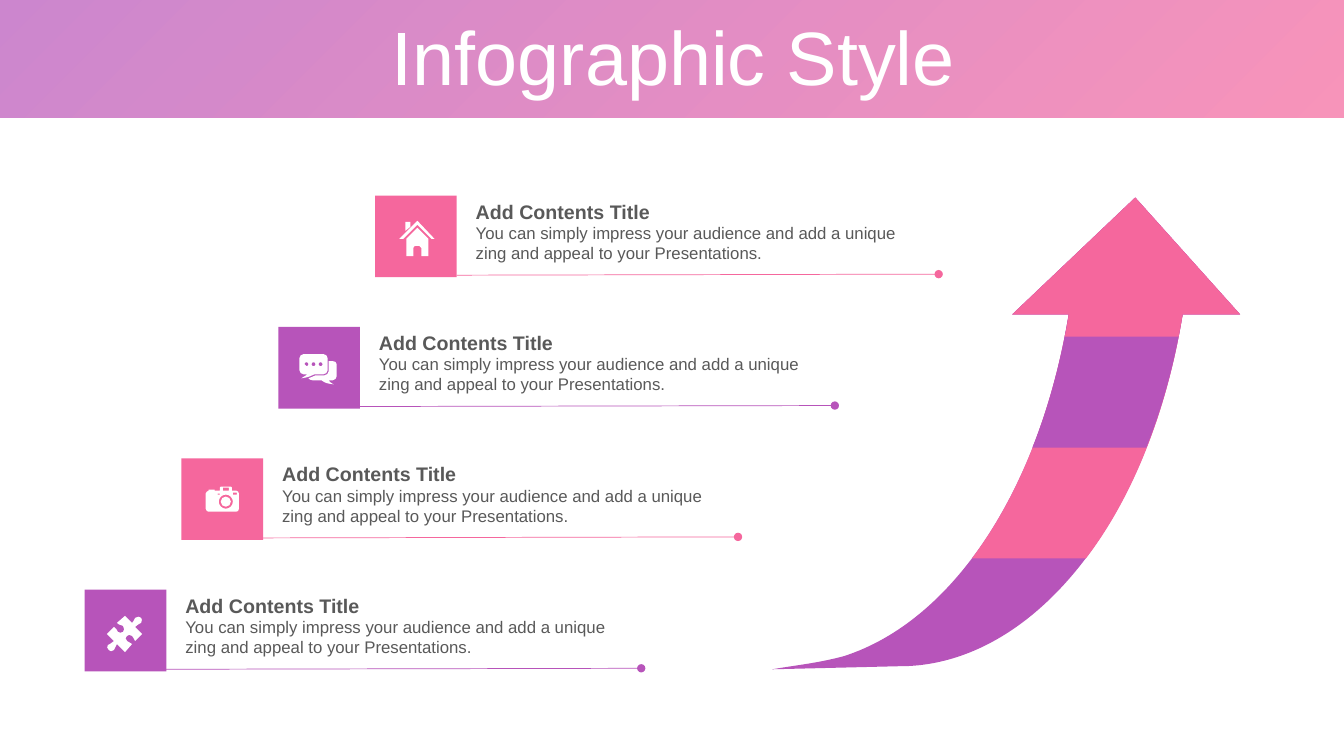
from lxml.etree import Element, SubElement
from pptx import Presentation
from pptx.dml.color import RGBColor
from pptx.enum.shapes import MSO_CONNECTOR, MSO_SHAPE
from pptx.enum.text import MSO_ANCHOR, PP_ALIGN
from pptx.oxml.ns import qn
from pptx.util import Inches, Pt

PINK, PURPLE, WHITE, GRAY = "F5679D", "B754BA", "FFFFFF", "595959"
SLIDE_W, SLIDE_H = 13.33, 7.5
TILE = 0.81
FIRST_LEFT, LAST_LEFT = 3.72, 0.84
FIRST_TOP, LAST_TOP = 1.94, 5.85
RULE_LENGTH = 4.78


def circle(x, y, r):
    k = 0.55 * r
    return (f"M {x} {y - r} C {x + k} {y - r} {x + r} {y - k} {x + r} {y} "
            f"C {x + r} {y + k} {x + k} {y + r} {x} {y + r} "
            f"C {x - k} {y + r} {x - r} {y + k} {x - r} {y} "
            f"C {x - r} {y - k} {x - k} {y - r} {x} {y - r} Z ")


# Outlines in hundredths of an inch from the top left of their box
HOUSE = (
    "M 42 32 L 53 43 53 60 46 60 46 52 C 46 51 45 50 44 50 L 40 50 "
    "C 39 50 38 51 38 52 L 38 60 31 60 31 43 Z M 30 26 L 35 26 35 31 30 35 Z "
    "M 42 25 L 59 43 56 43 42 29 28 43 24 43 Z")
CHAT = "".join(circle(x, 37, 2) for x in (28, 35, 42)) + (
    "M 50 34 L 54 34 C 56 34 58 35 58 37 L 58 49 C 58 51 56 53 54 53 L 50 53 "
    "C 51 54 51 55 55 57 C 48 56 47 56 43 53 L 34 53 C 32 53 31 52 30 51 "
    "C 33 50 35 49 37 48 L 46 48 C 48 48 50 46 50 44 Z "
    "M 25 27 L 45 27 C 47 27 49 29 49 31 L 49 43 C 49 45 47 47 45 47 L 36 47 "
    "C 32 49 30 50 23 51 C 27 48 27 49 29 47 L 25 47 C 23 47 21 45 21 43 "
    "L 21 31 C 21 29 23 27 25 27 Z")
CAMERA = circle(44, 43, 5) + circle(44, 43, 7) + (
    "M 36 35 L 36 36 38 36 38 35 Z M 51 34 L 51 36 55 36 55 34 Z "
    "M 41 29 L 41 32 47 32 47 29 Z M 39 28 L 49 28 C 49 28 50 28 50 29 "
    "L 50 32 54 32 C 56 32 57 34 57 35 L 57 50 C 57 52 56 53 54 53 L 27 53 "
    "C 26 53 24 52 24 50 L 24 35 C 24 34 26 32 27 32 L 27 31 33 31 33 32 "
    "38 32 38 29 C 38 28 39 28 39 28 Z")
PUZZLE = (
    "M 56 28 C 57 29 57 31 56 33 C 54 35 52 34 50 37 L 57 44 50 51 "
    "C 48 49 49 47 47 46 C 45 44 43 45 42 46 C 40 47 40 49 42 51 "
    "C 44 53 45 52 47 54 L 40 62 32 54 C 30 57 31 57 29 60 "
    "C 27 62 25 61 24 60 C 22 59 22 56 23 55 C 25 53 27 54 29 51 "
    "L 22 44 29 37 C 32 38 31 40 33 42 C 34 43 37 43 38 42 "
    "C 39 41 40 38 38 36 C 35 34 35 36 32 33 L 40 26 47 33 "
    "C 50 31 48 30 50 28 C 52 26 55 27 56 28 Z")

# Arrow bands from the whole arrow up to its head
ARROW_BANDS = [
    (PURPLE, "C 373 325 255 466 125 465 L 0 468 C 23 464 45 462 71 455 "
             "C 180 420 266 288 294 116"),
    (PINK, "C 391 214 357 298 311 358 L 198 358 C 244 297 278 213 294 116"),
    (PURPLE, "C 399 164 387 208 371 248 L 258 248 C 274 208 286 163 294 116"),
    (PINK, "L 403 138 290 138 C 292 130 293 123 294 116"),
]

# Colour, icon, and where the rule starts from the tile's left side
ITEMS = [(PINK, HOUSE, 0.81), (PURPLE, CHAT, 0.74),
         (PINK, CAMERA, 0.74), (PURPLE, PUZZLE, 0.74)]
ITEM_TITLE = "Add Contents Title"
ITEM_BODY = ("You can simply impress your audience and add a unique "
             "zing and appeal to your Presentations.")


def rgb(value):
    return RGBColor.from_string(value)


def contours(outline):
    """Give each contour as a list of steps: control points, then the end point."""
    for part in outline.split("Z"):
        steps, command, numbers = [], "", []
        for token in part.split():
            if token in "MLC":
                command = token
                continue
            numbers.append(round(float(token) * 10))
            if len(numbers) == (6 if command == "C" else 2):
                steps.append(list(zip(numbers[::2], numbers[1::2])))
                numbers = []
        if steps:
            yield steps


def paint(shape, color):
    shape.shadow.inherit = False
    shape.fill.solid()
    shape.fill.fore_color.rgb = rgb(color)
    shape.line.fill.background()


def add_outline(slide, left, top, outline, color):
    parts = list(contours(outline))
    ends = [[step[-1] for step in part] for part in parts]
    builder = slide.shapes.build_freeform(*ends[0][0], scale=Inches(1) / 1000)
    for index, points in enumerate(ends):
        if index:
            builder.move_to(*points[0])
        builder.add_line_segments(points[1:], close=True)
    shape = builder.convert_to_shape(Inches(left), Inches(top))

    # Bend the segments that have control points
    min_x = min(x for points in ends for x, _ in points)
    min_y = min(y for points in ends for _, y in points)
    lines = list(shape._element.iter(qn("a:lnTo")))
    for line, step in zip(lines, [step for part in parts for step in part[1:]]):
        if len(step) == 3:
            curve = Element(qn("a:cubicBezTo"))
            for x, y in step:
                SubElement(curve, qn("a:pt"), x=str(x - min_x), y=str(y - min_y))
            line.getparent().replace(line, curve)
    paint(shape, color)


def add_text(slide, left, top, width, height, text, size, color, bold=False):
    box = slide.shapes.add_textbox(*map(Inches, (left, top, width, height)))
    box.text_frame.word_wrap = True
    paragraph = box.text_frame.paragraphs[0]
    paragraph.text = text
    font = paragraph.font
    font.name, font.size, font.bold = "Arial", Pt(size), bold
    font.color.rgb = rgb(color)
    return box.text_frame


def add_header(slide, width, height):
    band = slide.shapes.add_shape(MSO_SHAPE.RECTANGLE, 0, 0, Inches(width), Inches(height))
    band.shadow.inherit = False
    band.line.fill.background()
    band.fill.gradient()
    band.fill.gradient_angle = 135
    for stop, color in zip(band.fill.gradient_stops, (PINK, PURPLE)):
        stop.color.rgb = rgb(color)
    for stop_color in band.fill._xPr.iter(qn("a:srgbClr")):
        SubElement(stop_color, qn("a:alpha"), val="70000")

    frame = add_text(slide, 0.35, 0.21, 12.66, 0.79, "Infographic Style", 54, WHITE)
    frame.vertical_anchor = MSO_ANCHOR.MIDDLE
    frame.paragraphs[0].alignment = PP_ALIGN.CENTER
    frame.paragraphs[0].line_spacing = 0.9


def add_item(slide, left, top, color, icon, rule_start):
    # Rule ending in a dot
    rule_left, rule_top = left + rule_start, top + 0.79
    rule = slide.shapes.add_connector(
        MSO_CONNECTOR.STRAIGHT, Inches(rule_left), Inches(rule_top),
        Inches(rule_left + RULE_LENGTH), Inches(rule_top - 0.01))
    rule.line.color.rgb = rgb(color)
    rule.line.width = Pt(0.5)
    SubElement(rule.line._get_or_add_ln(), qn("a:tailEnd"), type="oval")
    SubElement(rule._element.spPr, qn("a:effectLst"))

    # Tile with its icon
    tile = slide.shapes.add_shape(
        MSO_SHAPE.RECTANGLE, *map(Inches, (left, top, TILE, TILE)))
    paint(tile, color)
    add_outline(slide, left, top, icon, WHITE)

    # Title and body
    text_left = left + 0.9
    add_text(slide, text_left, top + 0.22, 4.7, 0.5, ITEM_BODY, 12, GRAY)
    add_text(slide, text_left, top - 0.01, 4.7, 0.34, ITEM_TITLE, 14, GRAY, bold=True)


def add_arrow(slide, left, top):
    for color, stem in ARROW_BANDS:
        outline = f"M 360 0 L 464 116 407 116 {stem} L 238 116 Z"
        add_outline(slide, left, top, outline, color)


def main():
    prs = Presentation()
    prs.slide_width, prs.slide_height = Inches(SLIDE_W), Inches(SLIDE_H)
    slide = prs.slides.add_slide(prs.slide_layouts[6])
    add_header(slide, SLIDE_W, 1.17)
    gaps = len(ITEMS) - 1
    for row, item in enumerate(ITEMS):
        left = FIRST_LEFT + row * (LAST_LEFT - FIRST_LEFT) / gaps
        top = FIRST_TOP + row * (LAST_TOP - FIRST_TOP) / gaps
        add_item(slide, left, top, *item)
    add_arrow(slide, 7.66, 1.96)
    prs.save("out.pptx")


if __name__ == "__main__":
    main()
